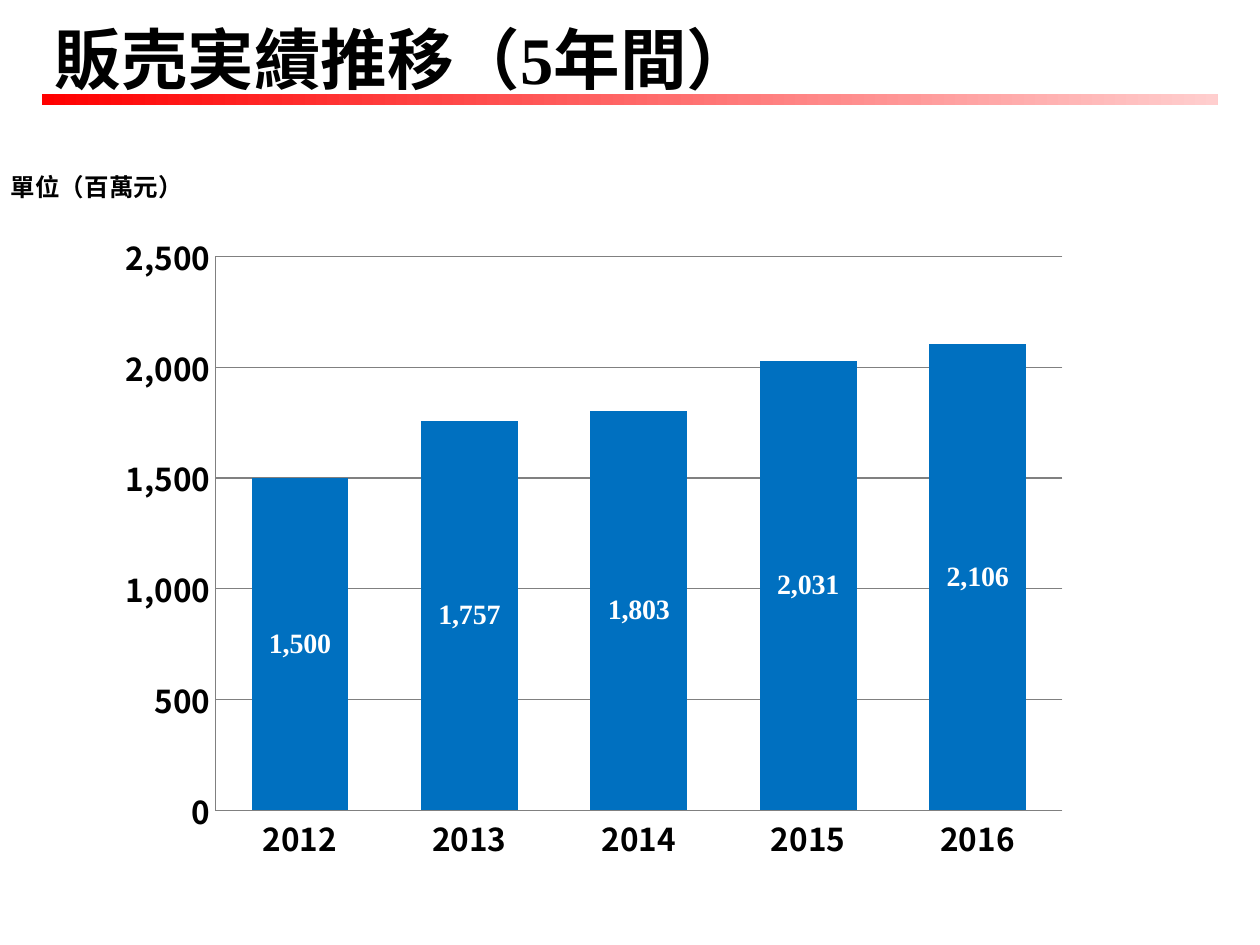
from lxml import etree
from pptx import Presentation
from pptx.chart.data import CategoryChartData as ChartData
from pptx.dml.color import RGBColor
from pptx.enum.chart import XL_CHART_TYPE as Kind
from pptx.enum.chart import XL_LABEL_POSITION as Spot
from pptx.enum.chart import XL_TICK_MARK as Tick
from pptx.enum.shapes import MSO_SHAPE as Shape
from pptx.enum.text import MSO_ANCHOR as Anchor
from pptx.oxml import parse_xml
from pptx.oxml.ns import qn
from pptx.util import Cm, Pt

BLACK = RGBColor(0x00, 0x00, 0x00)
WHITE = RGBColor(0xFF, 0xFF, 0xFF)
RED = RGBColor(0xFF, 0x00, 0x00)
PINK = RGBColor(0xFF, 0xCE, 0xCE)
BLUE = RGBColor(0x00, 0x70, 0xC0)
GREY = RGBColor(0x80, 0x80, 0x80)

SERIF = "Times New Roman"
SANS_JP = "Noto Sans CJK JP"
SANS_SC = "Noto Sans CJK SC"

YEARS = ["2012", "2013", "2014", "2015", "2016"]
SALES = [1500, 1757, 1803, 2031, 2106]

# Share of the chart box taken by the axes: left, top, width, height
PLOT = {"x": 0.11, "y": 0.05, "w": 0.87, "h": 0.85}


def add_text(slide, text, box, size, font, east, wrap=True):
    frame = slide.shapes.add_textbox(*map(Cm, box)).text_frame
    frame.word_wrap = wrap
    frame.vertical_anchor = Anchor.MIDDLE
    run = frame.paragraphs[0].add_run()
    run.text = text
    style(run.font, size, font, BLACK)
    face = etree.SubElement(run.font._element, qn("a:ea"))
    face.set("typeface", east)


def style(font, size, name, color, bold=True):
    font.size, font.name, font.bold = Pt(size), name, bold
    font.color.rgb = color


def add_head(slide, left, top, width):
    # Title above a fading rule
    add_text(slide, "販売実績推移（5年間）", (left, top, 16.4, 1.47),
             38, SERIF, SANS_JP)
    rule = slide.shapes.add_shape(
        Shape.RECTANGLE, Cm(left), Cm(top + 1.47), Cm(width), Cm(0.21))
    rule.shadow.inherit = False
    rule.line.fill.background()
    rule.fill.gradient()
    rule.fill.gradient_angle = 0
    for stop, color in zip(rule.fill.gradient_stops, (RED, PINK)):
        stop.color.rgb = color


def fix_plot(chart):
    # Pin the inner plot area inside the chart box
    area = chart._chartSpace.chart.plotArea
    for old in area.findall(qn("c:layout")):
        area.remove(old)
    spots = "".join(f'<c:{k} val="{v}"/>' for k, v in PLOT.items())
    area.insert(0, parse_xml(
        '<c:layout xmlns:c="http://schemas.openxmlformats.org/'
        'drawingml/2006/chart"><c:manualLayout>'
        '<c:layoutTarget val="inner"/>'
        '<c:xMode val="edge"/><c:yMode val="edge"/>'
        f'{spots}</c:manualLayout></c:layout>'))


def add_sales(slide, left, top, width, height):
    data = ChartData(number_format="#,##0")
    data.categories = YEARS
    data.add_series("販売実績", SALES)
    chart = slide.shapes.add_chart(
        Kind.COLUMN_CLUSTERED, Cm(left), Cm(top), Cm(width), Cm(height),
        data).chart
    chart.has_legend = chart.has_title = False
    style(chart.font, 10, SERIF, BLACK, False)
    fix_plot(chart)

    # Axes
    for axis in (chart.category_axis, chart.value_axis):
        axis.major_tick_mark = axis.minor_tick_mark = Tick.NONE
        style(axis.tick_labels.font, 18, SANS_JP, BLACK)
        axis.format.line.color.rgb = GREY
        axis.format.line.width = Pt(0.75)
    scale = chart.value_axis
    scale.minimum_scale, scale.maximum_scale = 0, 2500
    scale.major_unit = 500
    scale.tick_labels.number_format = "#,##0"
    scale.tick_labels.number_format_is_linked = False
    scale.has_major_gridlines = True
    scale.major_gridlines.format.line.color.rgb = GREY
    scale.major_gridlines.format.line.width = Pt(0.75)

    # Columns and their values
    plot = chart.plots[0]
    plot.gap_width, plot.overlap = 75, 40
    plot.vary_by_categories = False
    bars = plot.series[0]
    bars.format.fill.solid()
    bars.format.fill.fore_color.rgb = BLUE
    labels = bars.data_labels
    labels.show_value = True
    labels.position = Spot.CENTER
    style(labels.font, 16, SERIF, WHITE)


def main():
    deck = Presentation()
    deck.slide_width, deck.slide_height = Cm(25.4), Cm(19.05)
    slide = deck.slides.add_slide(deck.slide_layouts[6])
    add_head(slide, 0.85, 0.43, 23.7)
    add_text(slide, "單位（百萬元）", (-0.03, 3.33, 4.1, 0.85),
             14, SANS_SC, SANS_SC, wrap=False)
    add_sales(slide, 2.18, 4.52, 19.63, 13.13)
    deck.save("out.pptx")


if __name__ == "__main__":
    main()
